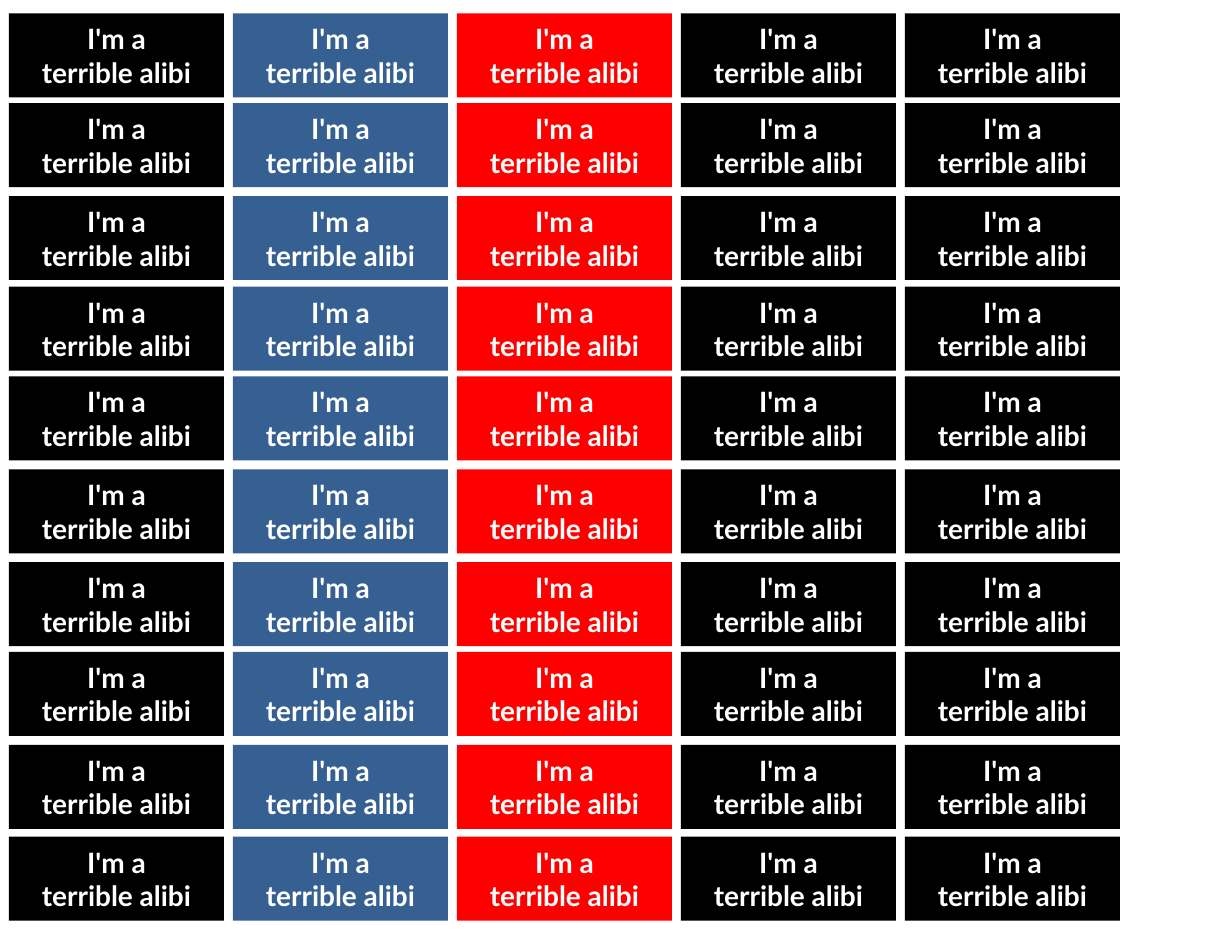
from pptx import Presentation
from pptx import util as u
from pptx.dml.color import RGBColor
from pptx.enum import shapes, text

BLACK = RGBColor(0x00, 0x00, 0x00)
BLUE = RGBColor(0x37, 0x60, 0x92)
RED = RGBColor(0xFF, 0x00, 0x00)
WHITE = RGBColor(0xFF, 0xFF, 0xFF)

# Fine grid: 100 units to the inch
UNIT = u.Inches(0.01)
WIDE, HIGH = 1100, 850

# Label sheet: one colour per column, uneven row tops
HUES = [BLACK, BLUE, RED, BLACK, BLACK]
TOPS = [0, 80, 163, 244, 324, 407, 490, 570, 653, 735]
PITCH = 200
LABEL = (192, 75)
LINES = ["I'm a", "terrible alibi"]


def add_label(slide, box, hue):
    """Place one coloured label that fills the box."""
    rect = slide.shapes.add_shape(
        shapes.MSO_SHAPE.RECTANGLE, *(n * UNIT for n in box))
    rect.shadow.inherit = False
    rect.fill.solid()
    rect.fill.fore_color.rgb = hue
    rect.line.fill.background()

    # Centred wording
    frame = rect.text_frame
    frame.word_wrap = True
    frame.vertical_anchor = text.MSO_ANCHOR.MIDDLE
    for i, line in enumerate(LINES):
        para = frame.add_paragraph() if i else frame.paragraphs[0]
        para.alignment = text.PP_ALIGN.CENTER
        run = para.add_run()
        run.text = line
        run.font.name = "Lato"
        run.font.size = u.Pt(18)
        run.font.bold = True
        run.font.color.rgb = WHITE


def add_sheet(slide, left, top):
    """Fill the sheet with labels, column by column."""
    for col, hue in enumerate(HUES):
        for row in TOPS:
            add_label(slide, (left + col * PITCH, top + row, *LABEL), hue)


def main():
    deck = Presentation()
    deck.slide_width, deck.slide_height = WIDE * UNIT, HIGH * UNIT
    slide = deck.slides.add_slide(deck.slide_layouts[6])
    add_sheet(slide, left=8, top=12)
    deck.save("out.pptx")


if __name__ == "__main__":
    main()
